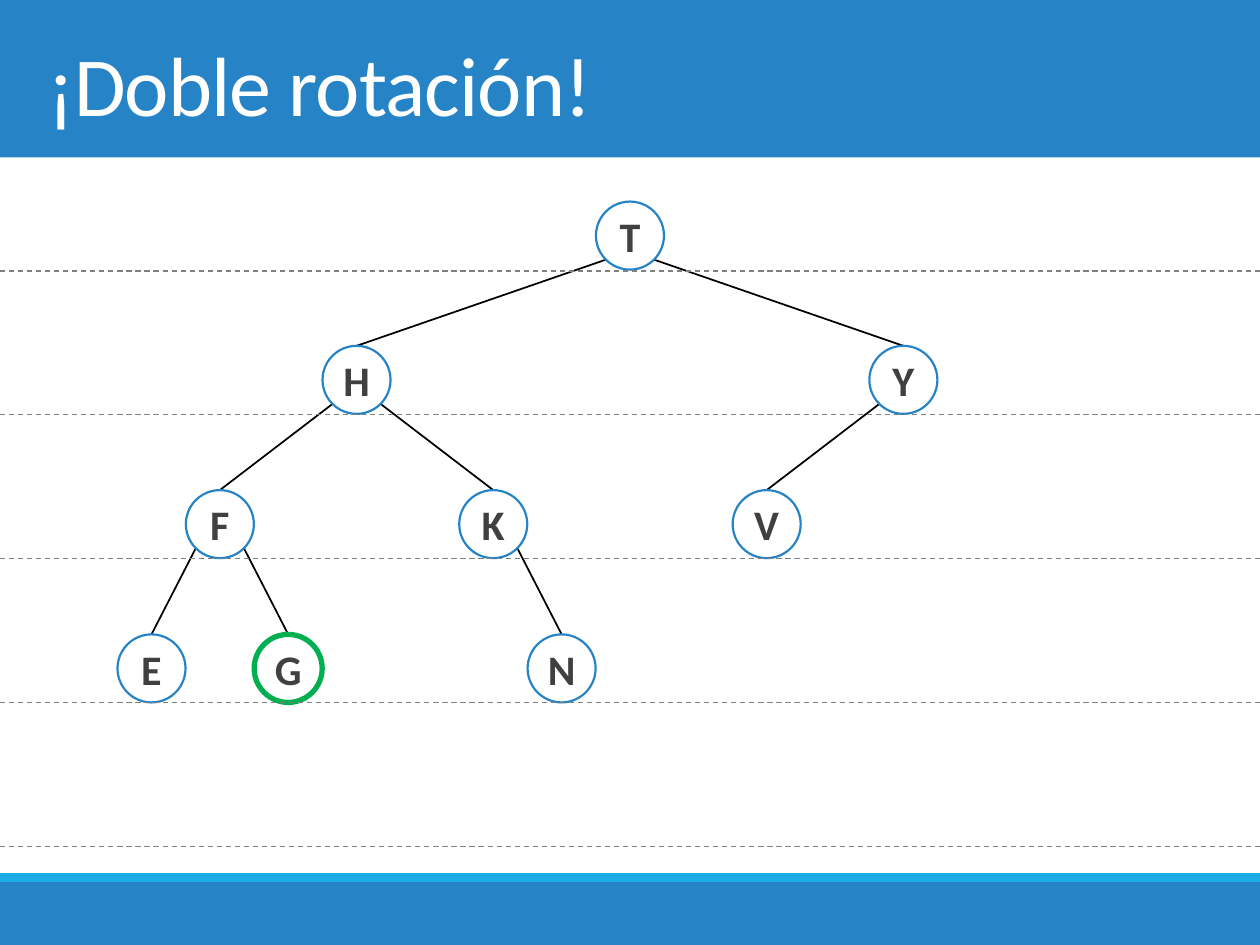
from lxml.etree import SubElement
from pptx import Presentation
from pptx.dml.color import RGBColor
from pptx.enum.dml import MSO_LINE
from pptx.enum.shapes import MSO_CONNECTOR, MSO_SHAPE
from pptx.enum.text import MSO_ANCHOR, PP_ALIGN
from pptx.oxml.ns import qn
from pptx.util import Inches, Pt

COLORS = {
    "band": "2683C6",
    "accent": "1CADE4",
    "white": "FFFFFF",
    "letter": "404040",
    "edge": "000000",
    "guide": "808080",
    "new": "00B050",
}
WIDTH, HEIGHT = 10, 7.5
DIAMETER = 0.54
LEVEL_HEIGHT = 1.145
GUIDE_GAP = 1.1425
COLUMN_WIDTH = 0.5425
DIAGONAL = DIAMETER / 2 * 0.7071

NODES = {
    "T": (0, 0, None),
    "H": (-4, 1, "T"),
    "Y": (4, 1, "T"),
    "F": (-6, 2, "H"),
    "K": (-2, 2, "H"),
    "V": (2, 2, "Y"),
    "E": (-7, 3, "F"),
    "G": (-5, 3, "F"),
    "N": (-1, 3, "K"),
}
NEW_NODE = "G"


def color(name):
    return RGBColor.from_string(COLORS[name])


def set_attributes(target, values):
    for name, value in values.items():
        setattr(target, name, value)


def add_filled_shape(slide, kind, box, fill):
    shape = slide.shapes.add_shape(kind, *map(Inches, box))
    shape.shadow.inherit = False
    shape.fill.solid()
    shape.fill.fore_color.rgb = color(fill)
    shape.line.fill.background()
    return shape


def add_line(slide, start, end, line_color, width):
    connector = slide.shapes.add_connector(
        MSO_CONNECTOR.STRAIGHT, *map(Inches, (*start, *end)))
    connector.line.color.rgb = color(line_color)
    connector.line.width = Pt(width)
    SubElement(connector._element.spPr, qn("a:effectLst"))
    return connector


def write_text(shape, text, frame_format, font_format, font_color, alignment):
    frame = shape.text_frame
    set_attributes(frame, frame_format)
    paragraph = frame.paragraphs[0]
    paragraph.alignment = alignment
    run = paragraph.add_run()
    run.text = text
    set_attributes(run.font, {"name": "Calibri", **font_format})
    run.font.color.rgb = color(font_color)
    return run


def add_header(slide, box, title):
    left, top, width, height = box
    add_filled_shape(slide, MSO_SHAPE.RECTANGLE, box, "band")
    text_box = slide.shapes.add_textbox(
        *map(Inches, (left + 0.28, top, width - 0.55, height)))
    run = write_text(
        text_box, title,
        {"word_wrap": True, "vertical_anchor": MSO_ANCHOR.MIDDLE,
         "margin_top": Inches(0.12)},
        {"size": Pt(48)}, "white", PP_ALIGN.LEFT)
    run.font._element.set("spc", "-50")


def add_footer(slide, box):
    left, top, width, height = box
    stripe = 0.07
    add_filled_shape(slide, MSO_SHAPE.RECTANGLE, box, "band")
    add_filled_shape(
        slide, MSO_SHAPE.RECTANGLE, (left, top - stripe, width, stripe), "accent")


def add_node(slide, letter, center, top):
    node = add_filled_shape(
        slide, MSO_SHAPE.OVAL,
        (center - DIAMETER / 2, top, DIAMETER, DIAMETER), "white")
    is_new = letter == NEW_NODE
    node.line.color.rgb = color("new" if is_new else "band")
    node.line.width = Pt(3 if is_new else 1.25)
    margins = dict.fromkeys(
        ("margin_left", "margin_right", "margin_top", "margin_bottom"), 0)
    write_text(
        node, letter,
        {"word_wrap": False, "vertical_anchor": MSO_ANCHOR.MIDDLE, **margins},
        {"size": Pt(24), "bold": True}, "letter", PP_ALIGN.CENTER)


def add_tree(slide, box):
    left, top, width, _ = box
    places = {
        letter: (left + width / 2 + column * COLUMN_WIDTH,
                 top + level * LEVEL_HEIGHT)
        for letter, (column, level, _) in NODES.items()
    }
    for letter, (column, _, parent) in NODES.items():
        if parent:
            parent_center, parent_top = places[parent]
            side = -1 if column < NODES[parent][0] else 1
            start = (parent_center + side * DIAGONAL,
                     parent_top + DIAMETER / 2 + DIAGONAL)
            add_line(slide, start, places[letter], "edge", 1)
    for letter, place in places.items():
        add_node(slide, letter, *place)


def add_guides(slide, box, count):
    left, top, width, _ = box
    for level in range(count):
        y = top + DIAMETER + 0.01 + level * GUIDE_GAP
        guide = add_line(slide, (left, y), (left + width, y), "guide", 0.75)
        guide.line.dash_style = MSO_LINE.DASH


def main():
    presentation = Presentation()
    presentation.slide_width = Inches(WIDTH)
    presentation.slide_height = Inches(HEIGHT)
    slide = presentation.slides.add_slide(presentation.slide_layouts[6])
    tree_box = (0, 1.6, WIDTH, 5.2)
    add_header(slide, (0, 0, WIDTH, HEIGHT / 6), "¡Doble rotación!")
    add_footer(slide, (0, 7, WIDTH, 0.5))
    add_tree(slide, tree_box)
    add_guides(slide, tree_box, 5)
    presentation.save("out.pptx")


main()
